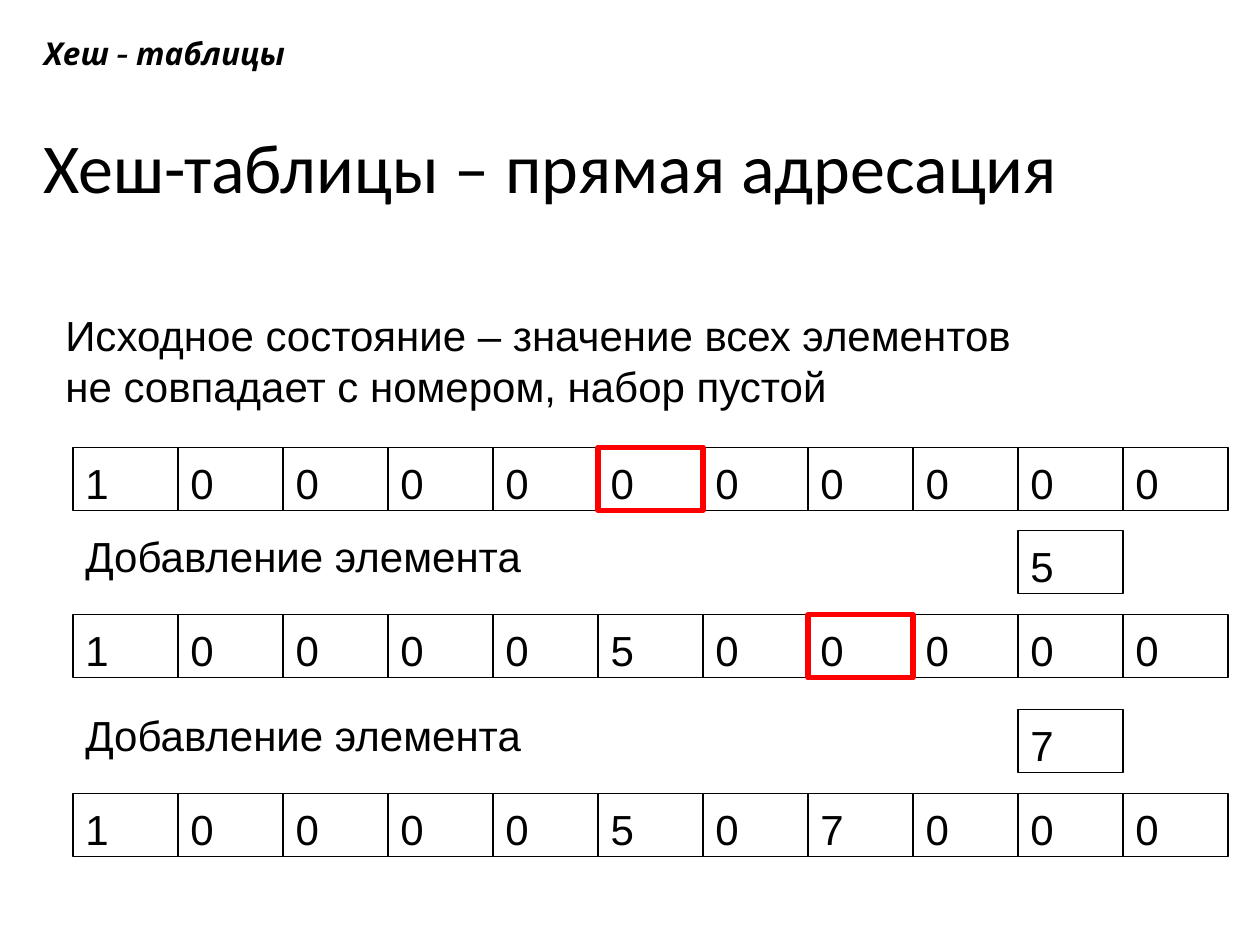
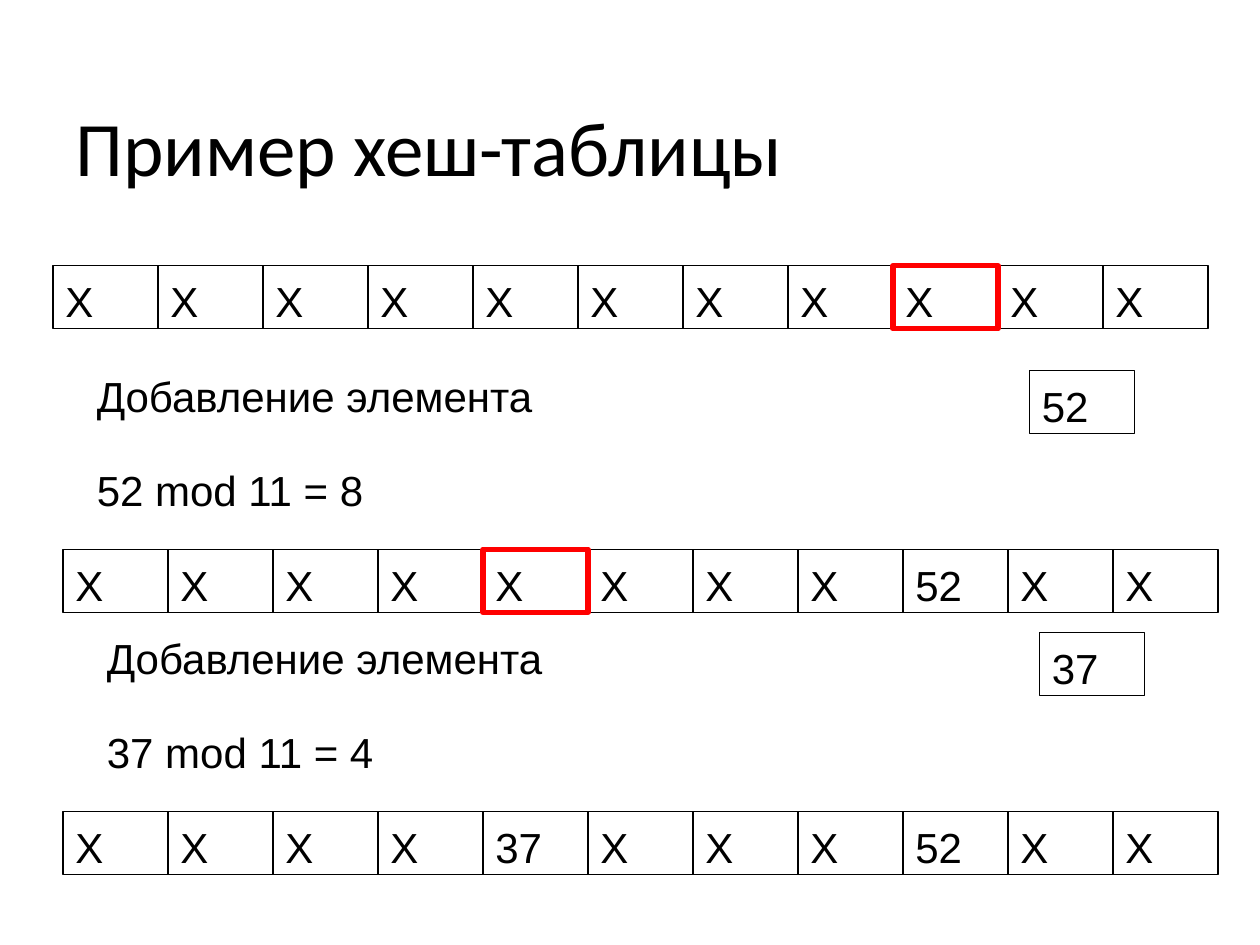
from pptx import Presentation
from pptx.dml.color import RGBColor
from pptx.enum.shapes import MSO_SHAPE as Shape
from pptx.enum.text import MSO_ANCHOR as Anchor, PP_ALIGN as Align
from pptx.util import Inches, Pt

BLACK = RGBColor(0, 0, 0)
RED = RGBColor(255, 0, 0)
WIDE = 5 / 6
HIGH = 0.5


def write(box, text, font="Arial", size=24, space=None, bold=False, top=0.08):
    frame = box.text_frame
    frame.word_wrap = True
    frame.vertical_anchor = Anchor.TOP
    frame.margin_top = Inches(top)
    par = frame.paragraphs[0]
    par.alignment = Align.LEFT
    par.line_spacing = space
    run = par.add_run()
    run.text = text
    run.font.name = font
    run.font.size = Pt(size)
    run.font.bold = run.font.italic = bold
    run.font.color.rgb = BLACK


def cell(shapes, left, top, text=None, color=BLACK, line=0.75):
    box = shapes.add_shape(Shape.RECTANGLE, Inches(left), Inches(top),
                           Inches(WIDE), Inches(HIGH))
    box.shadow.inherit = False
    box.fill.background()
    box.line.color.rgb = color
    box.line.width = Pt(line)
    if text:
        write(box, text)


ADD = "Добавление элемента"

pages = [
    {
        "title": ("Хеш-таблицы – прямая адресация", 0.25, 1.01, 40),
        "notes": [
            (0.42, 2.38, 7.92, 0.9, "Исходное состояние – значение всех элементов "
                                    "не совпадает с номером, набор пустой"),
            (0.58, 4.13, 3.83, 0.5, ADD),
            (0.58, 5.55, 4, 0.5, ADD),
        ],
        "rows": [
            (0.58, 3.55, "1 0 0 0 0 0 0 0 0 0 0"),
            (0.58, 4.88, "1 0 0 0 0 5 0 0 0 0 0"),
            (0.58, 6.3, "1 0 0 0 0 5 0 7 0 0 0"),
        ],
        "keys": [(8.08, 4.21, "5"), (8.08, 5.63, "7")],
        "marks": [5, 7],
    },
    {
        "title": ("Пример хеш-таблицы", 0.5, 0.82, 44),
        "notes": [
            (0.67, 2.86, 3.83, 0.5, ADD),
            (0.67, 3.61, 3.83, 0.5, "52 mod 11 = 8"),
            (0.75, 4.94, 3.83, 0.5, ADD),
            (0.75, 5.69, 3.83, 0.5, "37 mod 11 = 4"),
        ],
        "rows": [
            (0.42, 2.11, "X X X X X X X X X X X"),
            (0.5, 4.36, "X X X X X X X X 52 X X"),
            (0.5, 6.44, "X X X X 37 X X X 52 X X"),
        ],
        "keys": [(8.17, 2.94, "52"), (8.25, 5.02, "37")],
        "marks": [8, 4],
    },
]

deck = Presentation()
deck.slide_width = Inches(10)
deck.slide_height = Inches(7.5)

for page in pages:
    shapes = deck.slides.add_slide(deck.slide_layouts[6]).shapes

    if page is pages[0]:
        head = shapes.add_textbox(Inches(0.25), Inches(0.22), Inches(6.34), Inches(0.4))
        write(head, "Хеш - таблицы", "Cabin", 18, bold=True, top=0.05)

    text, left, top, size = page["title"]
    title = shapes.add_textbox(Inches(left), Inches(top), Inches(9), Inches(1.25))
    write(title, text, "Calibri", size, 0.9, top=0.05)

    for left, top, wide, high, text in page["notes"]:
        note = shapes.add_textbox(Inches(left), Inches(top), Inches(wide), Inches(high))
        write(note, text)

    for left, top, row in page["rows"]:
        group = shapes.add_group_shape()
        for i, text in enumerate(row.split()):
            cell(group.shapes, left + i * WIDE, top, text)

    for left, top, text in page["keys"]:
        cell(shapes, left, top, text)

    for (left, top, row), i in zip(page["rows"], page["marks"]):
        cell(shapes, left + i * WIDE, top, color=RED, line=3)

deck.save("out.pptx")
